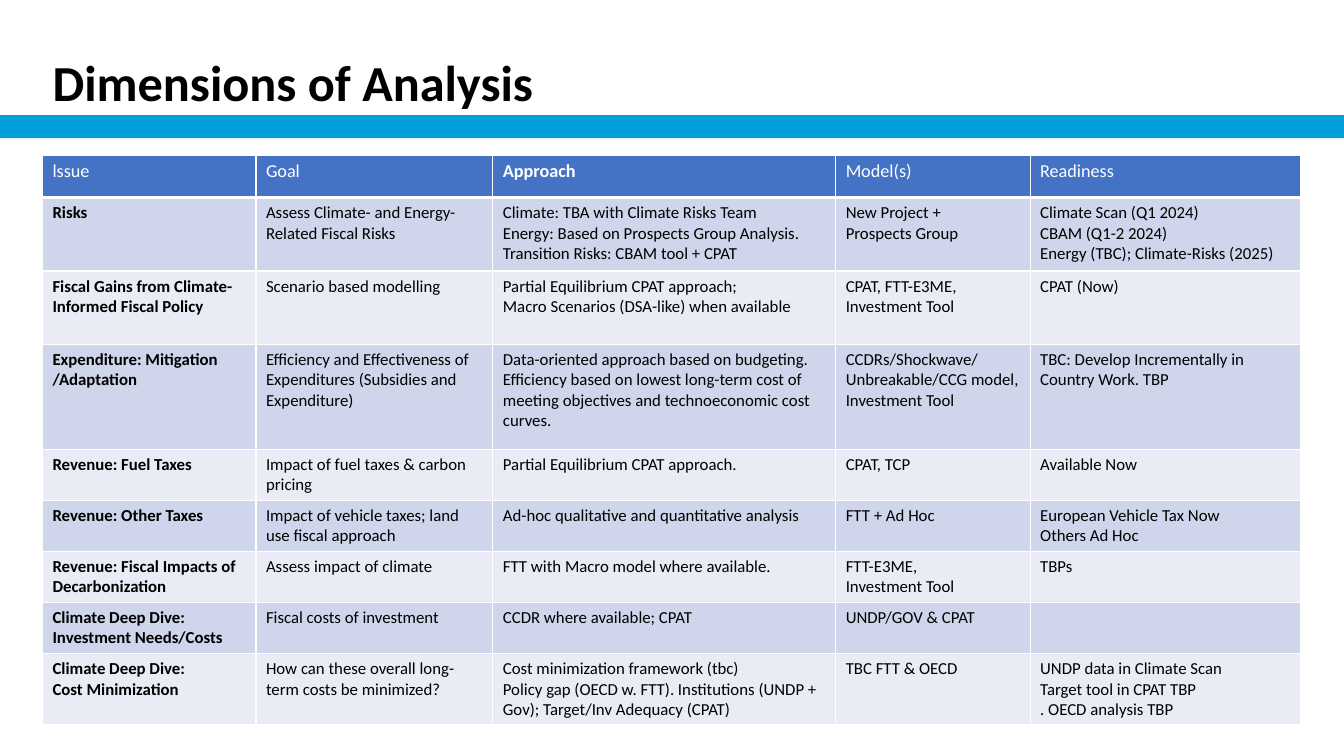
from dataclasses import dataclass

from lxml.etree import SubElement
from pptx import Presentation
from pptx.dml.color import RGBColor as Rgb
from pptx.enum.shapes import MSO_SHAPE as Shape
from pptx.enum.text import MSO_ANCHOR as Anchor, PP_ALIGN as Align
from pptx.oxml.ns import qn
from pptx.util import Cm, Pt


@dataclass(frozen=True)
class Theme:
    """Colours, fonts and type sizes of the slide."""
    font: str = "Calibri"
    ink: str = "000000"
    white: str = "FFFFFF"
    band: str = "009FDA"
    header: str = "4472C4"
    stripes: tuple = ("CFD5EA", "E9EBF5")
    title_size: int = 36
    header_size: int = 13
    body_size: int = 12
    grid_line: int = 1
    header_line: int = 3


THEME = Theme()
SLIDE_WIDTH, SLIDE_HEIGHT = 33.87, 19.05
MARGIN, CONTENT_WIDTH = 1.07, 31.7
COLUMN_WIDTHS = (5.38, 5.97, 8.64, 4.9, 6.81)
ROW_HEIGHTS = (1.07, 1.85, 1.85, 2.64) + (1.07,) * 5
HEADINGS = ("lssue", "Goal", "Approach", "Model(s)", "Readiness")
BOLD_HEADING = "Approach"
ISSUES = (
    ("Risks",
     "Assess Climate- and Energy-Related Fiscal Risks",
     "Climate: TBA with Climate Risks Team\n"
     "Energy: Based on Prospects Group Analysis. Transition Risks: CBAM tool + CPAT",
     "New Project +\nProspects Group",
     "Climate Scan (Q1 2024)\nCBAM (Q1-2 2024)\nEnergy (TBC); Climate-Risks (2025)"),
    ("Fiscal Gains from Climate-Informed Fiscal Policy",
     "Scenario based modelling",
     "Partial Equilibrium CPAT approach;\nMacro Scenarios (DSA-like) when available",
     "CPAT, FTT-E3ME,\nInvestment Tool",
     "CPAT (Now)"),
    ("Expenditure: Mitigation /Adaptation",
     "Efficiency and Effectiveness of Expenditures (Subsidies and Expenditure)",
     "Data-oriented approach based on budgeting.\n"
     "Efficiency based on lowest long-term cost of meeting objectives "
     "and technoeconomic cost curves.",
     "CCDRs/Shockwave/ Unbreakable/CCG model,\nInvestment Tool",
     "TBC: Develop Incrementally in Country Work. TBP"),
    ("Revenue: Fuel Taxes",
     "Impact of fuel taxes & carbon pricing",
     "Partial Equilibrium CPAT approach.",
     "CPAT, TCP",
     "Available Now"),
    ("Revenue: Other Taxes",
     "Impact of vehicle taxes; land use fiscal approach",
     "Ad-hoc qualitative and quantitative analysis",
     "FTT + Ad Hoc",
     "European Vehicle Tax Now\nOthers Ad Hoc"),
    ("Revenue: Fiscal Impacts of Decarbonization",
     "Assess impact of climate",
     "FTT with Macro model where available.",
     "FTT-E3ME,\nInvestment Tool",
     "TBPs"),
    ("Climate Deep Dive: Investment Needs/Costs",
     "Fiscal costs of investment",
     "CCDR where available; CPAT",
     "UNDP/GOV & CPAT",
     ""),
    ("Climate Deep Dive:\nCost Minimization",
     "How can these overall long-term costs be minimized?",
     "Cost minimization framework (tbc)\n"
     "Policy gap (OECD w. FTT). Institutions (UNDP + Gov); Target/Inv Adequacy (CPAT)",
     "TBC FTT & OECD",
     "UNDP data in Climate Scan\nTarget tool in CPAT TBP\n. OECD analysis TBP"),
)


def format_text(frame, size, color, bold):
    """Give every run of a text frame the same type."""
    for paragraph in frame.paragraphs:
        for run in paragraph.runs:
            run.font.name = THEME.font
            run.font.size = Pt(size)
            run.font.bold = bold
            run.font.color.rgb = Rgb.from_string(color)


def add_borders(cell, bottom_width):
    """Draw white lines on the four sides of a cell."""
    properties = cell._tc.get_or_add_tcPr()
    for side in ("L", "R", "T", "B"):
        width = bottom_width if side == "B" else THEME.grid_line
        line = SubElement(properties, qn(f"a:ln{side}"), w=str(Pt(width)))
        fill = SubElement(line, qn("a:solidFill"))
        SubElement(fill, qn("a:srgbClr"), val=THEME.white)


def fill_cell(cell, text, size, color, bold, background, bottom_width):
    """Write and format one table cell."""
    cell.text_frame.text = text
    format_text(cell.text_frame, size, color, bold)
    add_borders(cell, bottom_width)
    cell.fill.solid()
    cell.fill.fore_color.rgb = Rgb.from_string(background)


def place_title(slide, left, top, width, height):
    """Move the title placeholder into its box and format it."""
    title = slide.shapes.title
    title.left, title.top, title.width, title.height = map(Cm, (left, top, width, height))
    frame = title.text_frame
    frame.text = "Dimensions of Analysis"
    frame.vertical_anchor = Anchor.BOTTOM
    heading = frame.paragraphs[0]
    heading.alignment = Align.LEFT
    heading.line_spacing = 0.8
    heading.space_before = Pt(0)
    format_text(frame, THEME.title_size, THEME.ink, True)


def add_band(slide, left, top, width, height):
    """Add the coloured band under the title."""
    band = slide.shapes.add_shape(Shape.RECTANGLE, *map(Cm, (left, top, width, height)))
    band.shadow.inherit = False
    band.fill.solid()
    band.fill.fore_color.rgb = Rgb.from_string(THEME.band)
    band.line.fill.background()


def add_issue_table(slide, left, top, width):
    """Add the table of issues, with a header and striped rows."""
    table = slide.shapes.add_table(
        len(ROW_HEIGHTS), len(COLUMN_WIDTHS),
        *map(Cm, (left, top, width, sum(ROW_HEIGHTS)))).table
    for column, share in zip(table.columns, COLUMN_WIDTHS):
        column.width = Cm(width * share / sum(COLUMN_WIDTHS))
    for row, height in zip(table.rows, ROW_HEIGHTS):
        row.height = Cm(height)
    for cell, heading in zip(table.rows[0].cells, HEADINGS):
        fill_cell(cell, heading, THEME.header_size, THEME.white,
                  heading == BOLD_HEADING, THEME.header, THEME.header_line)
    for number, issue in enumerate(ISSUES):
        stripe = THEME.stripes[number % 2]
        for column, text in enumerate(issue):
            fill_cell(table.cell(number + 1, column), text, THEME.body_size,
                      THEME.ink, column == 0, stripe, THEME.grid_line)


def main():
    """Build the slide and save it."""
    deck = Presentation()
    deck.slide_width, deck.slide_height = Cm(SLIDE_WIDTH), Cm(SLIDE_HEIGHT)
    slide = deck.slides.add_slide(deck.slide_layouts[5])
    add_band(slide, 0, 2.9, SLIDE_WIDTH, 0.58)
    place_title(slide, MARGIN, 1.32, CONTENT_WIDTH, 1.6)
    add_issue_table(slide, MARGIN, 3.91, CONTENT_WIDTH)
    deck.save("out.pptx")


if __name__ == "__main__":
    main()
